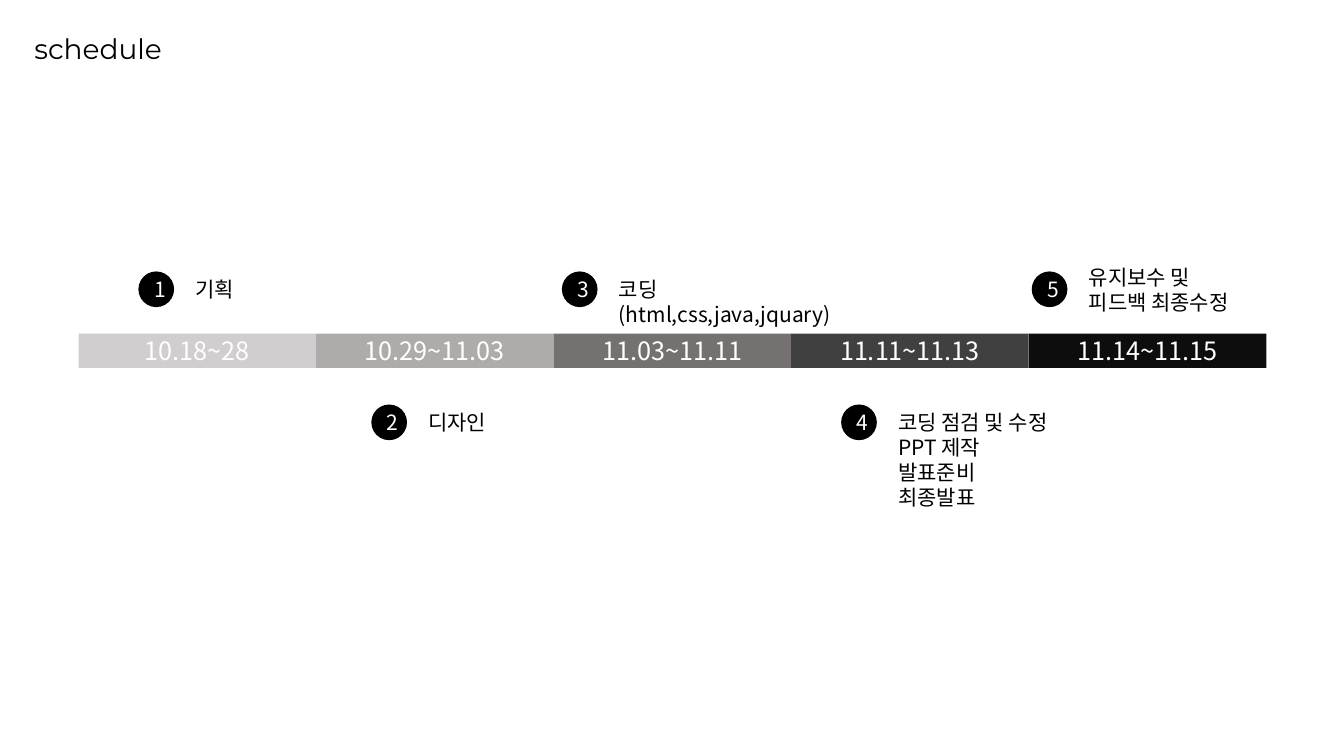
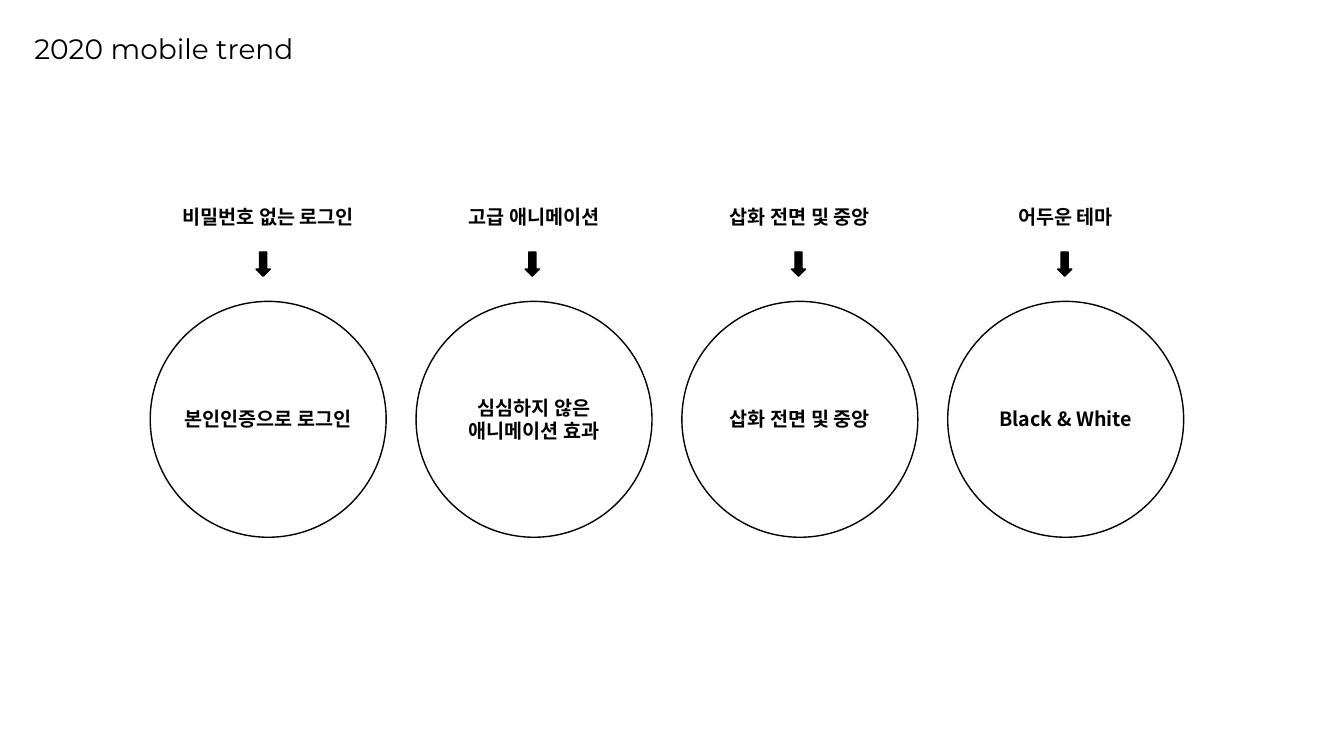
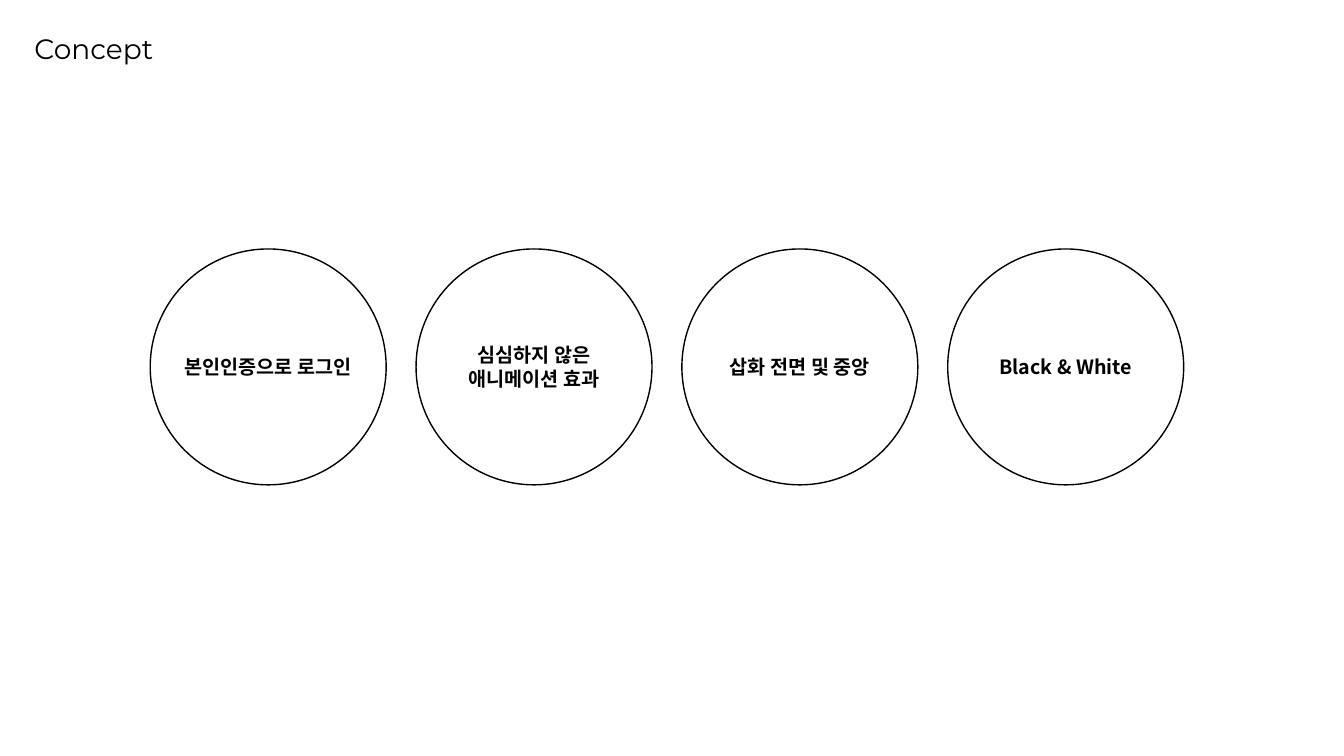
from dataclasses import dataclass

import lxml.etree
import pptx
import pptx.dml.color
import pptx.enum.shapes
import pptx.enum.text
import pptx.oxml.ns
import pptx.util

Inches = pptx.util.Inches
SHAPE = pptx.enum.shapes.MSO_SHAPE
ALIGN = pptx.enum.text.PP_ALIGN
ANCHOR = pptx.enum.text.MSO_ANCHOR


@dataclass(frozen=True)
class Theme:
    black: str = "000000"
    white: str = "FFFFFF"
    bands: tuple = ("D0CECE", "AFABAB", "767171", "404040", "0D0D0D")
    title_font: str = "Montserrat"
    body_font: str = "Noto Sans CJK KR"
    title_size: int = 20
    band_size: int = 18
    step_size: int = 15
    label_size: int = 14
    line_width: int = 1


THEME = Theme()

PERIODS = ("10.18~28", "10.29~11.03", "11.03~11.11", "11.11~11.13", "11.14~11.15")
BAND_LEFT, BAND_TOP, BAND_TOTAL, BAND_HEIGHT = 0.78, 3.31, 11.78, 0.34

BADGE = 0.34
ABOVE, BELOW = 2.7, 4.02
STEPS = (
    (1.38, ABOVE, 2.69, 0.62, 0.35, ("기획",)),
    (3.69, BELOW, 4.01, 0.83, 0.35, ("디자인",)),
    (5.58, ABOVE, 2.69, 2.56, 0.35, ("코딩(html,css,java,jquary)",)),
    (8.35, BELOW, 4.01, 1.9, 1.11,
     ("코딩 점검 및 수정", "PPT 제작", "발표준비", "최종발표")),
    (10.24, ABOVE, 2.57, 1.75, 0.61, ("유지보수 및", "피드백 최종수정")),
)

CIRCLE = 2.34
CIRCLE_LEFT, CIRCLE_SPAN = 1.49, 7.91
CONCEPTS = (
    (2.04, ("본인인증으로 로그인",)),
    (2.54, ("심심하지 않은", "애니메이션 효과")),
    (1.96, ("삽화 전면 및 중앙",)),
    (1.88, ("Black & White",)),
)
TRENDS = (
    (2.11, 2.54, "비밀번호 없는 로그인"),
    (2.54, 5.21, "고급 애니메이션"),
    (1.96, 7.85, "삽화 전면 및 중앙"),
    (1.34, 10.49, "어두운 테마"),
)


def rgb(color):
    return pptx.dml.color.RGBColor.from_string(color)


def write(tf, lines, size, color=THEME.black, font=THEME.body_font,
          bold=False, align=ALIGN.LEFT):
    tf.word_wrap = True
    for i, line in enumerate(lines):
        p = tf.paragraphs[0] if i == 0 else tf.add_paragraph()
        p.alignment = align
        r = p.add_run()
        r.text = line
        r.font.size = pptx.util.Pt(size)
        r.font.bold = bold
        r.font.color.rgb = rgb(color)
        r.font.name = font
        ea = lxml.etree.SubElement(r._r.get_or_add_rPr(), pptx.oxml.ns.qn("a:ea"))
        ea.set("typeface", font)


def add_title_slide(prs, title):
    s = prs.slides.add_slide(prs.slide_layouts[5])
    sp = s.shapes.title
    sp.left, sp.top, sp.width, sp.height = map(Inches, (0.24, 0.26, 3.12, 0.44))
    tf = sp.text_frame
    tf.vertical_anchor = ANCHOR.TOP
    tf.auto_size = pptx.enum.text.MSO_AUTO_SIZE.NONE
    write(tf, (title,), THEME.title_size, font=THEME.title_font)
    return s


def add_text(s, left, top, width, height, lines, size, **style):
    sp = s.shapes.add_textbox(*map(Inches, (left, top, width, height)))
    sp.text_frame.auto_size = pptx.enum.text.MSO_AUTO_SIZE.SHAPE_TO_FIT_TEXT
    write(sp.text_frame, lines, size, **style)


def add_shape(shapes, kind, left, top, width, height, fill, line=None):
    sp = shapes.add_shape(kind, *map(Inches, (left, top, width, height)))
    sp.shadow.inherit = False
    sp.fill.solid()
    sp.fill.fore_color.rgb = rgb(fill)
    if line:
        sp.line.color.rgb = rgb(line)
        sp.line.width = pptx.util.Pt(THEME.line_width)
    else:
        sp.line.fill.background()
    return sp


def write_centred(sp, text, size):
    sp.text_frame.vertical_anchor = ANCHOR.MIDDLE
    write(sp.text_frame, (text,), size, color=THEME.white, align=ALIGN.CENTER)


def add_label(s, center, middle, width, lines):
    height = 0.34 if len(lines) == 1 else 0.57
    add_text(s, center - width / 2, middle - height / 2, width, height, lines,
             THEME.label_size, bold=True, align=ALIGN.CENTER)


def add_timeline(s):
    group = s.shapes.add_group_shape()
    width = BAND_TOTAL / len(PERIODS)
    for i, (period, fill) in enumerate(zip(PERIODS, THEME.bands)):
        band = add_shape(group.shapes, SHAPE.RECTANGLE, BAND_LEFT + i * width,
                         BAND_TOP, width, BAND_HEIGHT, fill)
        write_centred(band, period, THEME.band_size)


def add_step(s, number, left, top, text_top, width, height, lines):
    badge = add_shape(s.shapes, SHAPE.OVAL, left, top, BADGE, BADGE,
                      THEME.black, THEME.black)
    write_centred(badge, str(number), THEME.step_size)
    add_text(s, left + 0.46, text_top, width, height, lines, THEME.step_size)


def circle_left(i):
    return CIRCLE_LEFT + i * CIRCLE_SPAN / (len(CONCEPTS) - 1)


def add_concepts(s, top):
    for i, (width, lines) in enumerate(CONCEPTS):
        left = circle_left(i)
        add_shape(s.shapes, SHAPE.OVAL, left, top, CIRCLE, CIRCLE,
                  THEME.white, THEME.black)
        add_label(s, left + CIRCLE / 2, top + CIRCLE / 2, width, lines)


def add_trends(s):
    for i, (width, arrow_left, text) in enumerate(TRENDS):
        add_label(s, circle_left(i) + CIRCLE / 2, 2.15, width, (text,))
        add_shape(s.shapes, SHAPE.DOWN_ARROW, arrow_left, 2.5, 0.14, 0.24,
                  THEME.black, THEME.black)


def main():
    prs = pptx.Presentation()
    prs.slide_width, prs.slide_height = Inches(13.33), Inches(7.5)

    s = add_title_slide(prs, "schedule")
    add_timeline(s)
    for number, step in enumerate(STEPS, 1):
        add_step(s, number, *step)

    s = add_title_slide(prs, "2020 mobile trend")
    add_concepts(s, 2.99)
    add_trends(s)

    s = add_title_slide(prs, "Concept")
    add_concepts(s, 2.47)

    prs.save("out.pptx")


main()
